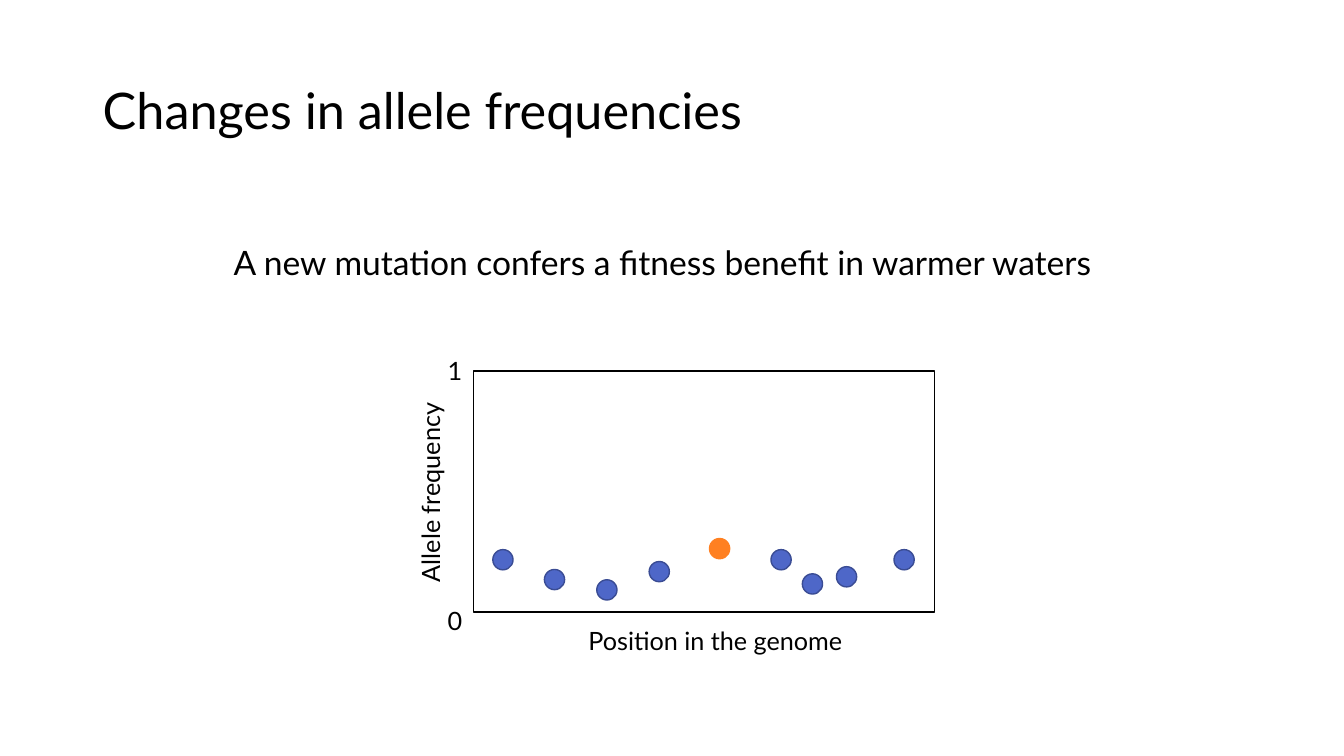
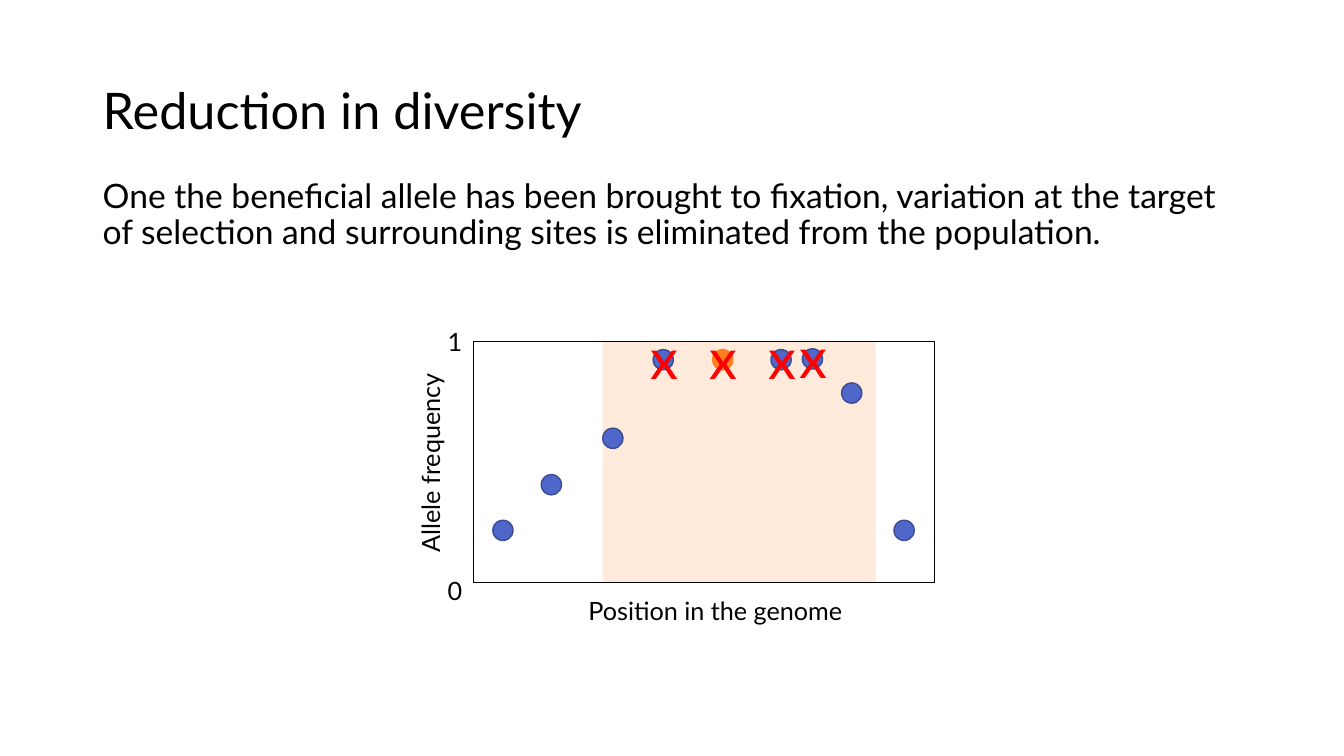
from dataclasses import dataclass
from typing import NamedTuple

from lxml import etree
from pptx import Presentation, util as u
from pptx.dml.color import RGBColor
from pptx.enum import shapes, text
from pptx.oxml.ns import qn


@dataclass(frozen=True)
class Theme:
    font: str = "Lato"
    ink: str = "000000"
    site: str = "4E67C8"
    site_edge: str = "3A4C94"
    target: str = "FF8021"
    cross: str = "FF0000"
    title_size: int = 36
    body_size: int = 24
    label_size: int = 18
    cross_size: int = 40
    band_opacity: int = 16


class Box(NamedTuple):
    """Left, top, width and height in centimetres."""
    x: float
    y: float
    w: float
    h: float

    def emu(self):
        return [u.Cm(v) for v in self]

    def inside(self, frame):
        return Box(frame.x + self.x, frame.y + self.y, self.w, self.h)


class Allele(NamedTuple):
    """A site on the plot, offset from the top left of the frame."""
    x: float
    y: float
    target: bool = False
    fixed: bool = False


class Label(NamedTuple):
    text: str
    box: Box
    rotation: int = 0


@dataclass(frozen=True)
class Story:
    title: str
    body: str
    body_box: Box
    body_format: dict
    plot_top: float
    alleles: tuple
    sweep: bool = False


T = Theme()
TITLE = Box(2.34, 1.02, 29.21, 3.68)
PLOT_X, PLOT_W, PLOT_H = 11.94, 11.61, 6.07
SWEEP = Box(3.25, 0, 6.88, PLOT_H)
DOT = 0.51
CROSS = Box(-0.32, -0.79, 1.19, 1.96)  # offset from its dot

# Axis labels, offset from the plot frame
LABELS = (
    Label("Allele frequency", Box(-3.66, 2.49, 5.13, 1.02), 270),
    Label("0", Box(-0.91, 5.77, 0.86, 1.02)),
    Label("1", Box(-0.91, -0.51, 0.86, 1.02)),
    Label("Position in the genome", Box(2.64, 6.27, 7.16, 1.02)),
)

STORIES = (
    Story(
        "Changes in allele frequencies",
        "A new mutation confers a fitness benefit in warmer waters",
        Box(5.64, 5.97, 22.56, 1.27), {}, 9.35,
        (Allele(0.48, 4.5), Allele(1.78, 5), Allele(3.1, 5.26),
         Allele(4.42, 4.8), Allele(5.94, 4.22, target=True),
         Allele(7.49, 4.5), Allele(8.28, 5.11), Allele(9.14, 4.93),
         Allele(10.59, 4.5)),
    ),
    Story(
        "Reduction in diversity",
        "One the beneficial allele has been brought to fixation, variation at "
        "the target of selection and surrounding sites is eliminated from the "
        "population.",
        Box(2.34, 4.39, 29.21, 2.39), {"wrap": True, "spacing": 0.9}, 8.61,
        (Allele(0.48, 4.5), Allele(1.7, 3.35), Allele(3.25, 2.18),
         Allele(4.52, 0.2, fixed=True),
         Allele(6.02, 0.2, target=True, fixed=True),
         Allele(7.49, 0.2, fixed=True), Allele(8.28, 0.18, fixed=True),
         Allele(9.27, 1.04), Allele(10.59, 4.5)),
        sweep=True,
    ),
)


def set_all(obj, values: dict) -> None:
    for name, value in values.items():
        setattr(obj, name, value)


def add_text(s, words: str, box: Box, size: int, color: str = T.ink,
             wrap: bool = False, spacing: float = 1.0,
             anchor=text.MSO_ANCHOR.TOP):
    sp = s.shapes.add_textbox(*box.emu())
    tf = sp.text_frame
    fit = text.MSO_AUTO_SIZE.NONE if wrap else text.MSO_AUTO_SIZE.SHAPE_TO_FIT_TEXT
    set_all(tf, {"word_wrap": wrap, "auto_size": fit, "vertical_anchor": anchor})
    p = tf.paragraphs[0]
    p.line_spacing = spacing
    r = p.add_run()
    r.text = words
    set_all(r.font, {"name": T.font, "size": u.Pt(size)})
    r.font.color.rgb = RGBColor.from_string(color)
    return sp


def add_figure(s, kind, box: Box, fill: str = "", line: str = "",
               opacity: int = 100):
    sp = s.shapes.add_shape(kind, *box.emu())
    sp.shadow.inherit = False
    if fill:
        sp.fill.solid()
        sp.fill.fore_color.rgb = RGBColor.from_string(fill)
    else:
        sp.fill.background()
    if opacity < 100:
        color = sp.fill._xPr.find(qn("a:solidFill"))[0]
        etree.SubElement(color, qn("a:alpha")).set("val", str(opacity * 1000))
    if line:
        sp.line.color.rgb = RGBColor.from_string(line)
        sp.line.width = u.Pt(1)
    else:
        sp.line.fill.background()
    return sp


def add_plot(s, story: Story) -> None:
    kind = shapes.MSO_SHAPE
    frame = Box(PLOT_X, story.plot_top, PLOT_W, PLOT_H)

    # Swept region and frame
    if story.sweep:
        add_figure(s, kind.RECTANGLE, SWEEP.inside(frame), T.target,
                   opacity=T.band_opacity)
    add_figure(s, kind.RECTANGLE, frame, line=T.ink)

    # Sites
    dots = [Box(a.x, a.y, DOT, DOT).inside(frame) for a in story.alleles]
    for allele, dot in zip(story.alleles, dots):
        fill, line = ((T.target, T.target) if allele.target
                      else (T.site, T.site_edge))
        add_figure(s, kind.OVAL, dot, fill, line)

    # Axis labels
    for label in LABELS:
        sp = add_text(s, label.text, label.box.inside(frame), T.label_size)
        sp.rotation = label.rotation

    # Sites that lost their variation
    for allele, dot in zip(story.alleles, dots):
        if allele.fixed:
            add_text(s, "x", CROSS.inside(dot), T.cross_size, T.cross)


def add_story(prs, story: Story) -> None:
    s = prs.slides.add_slide(prs.slide_layouts[6])
    add_text(s, story.title, TITLE, T.title_size, wrap=True, spacing=0.9,
             anchor=text.MSO_ANCHOR.MIDDLE)
    add_plot(s, story)
    add_text(s, story.body, story.body_box, T.body_size, **story.body_format)


def main() -> None:
    prs = Presentation()
    set_all(prs, {"slide_width": u.Cm(33.87), "slide_height": u.Cm(19.05)})
    for story in STORIES:
        add_story(prs, story)
    prs.save("out.pptx")


if __name__ == "__main__":
    main()
